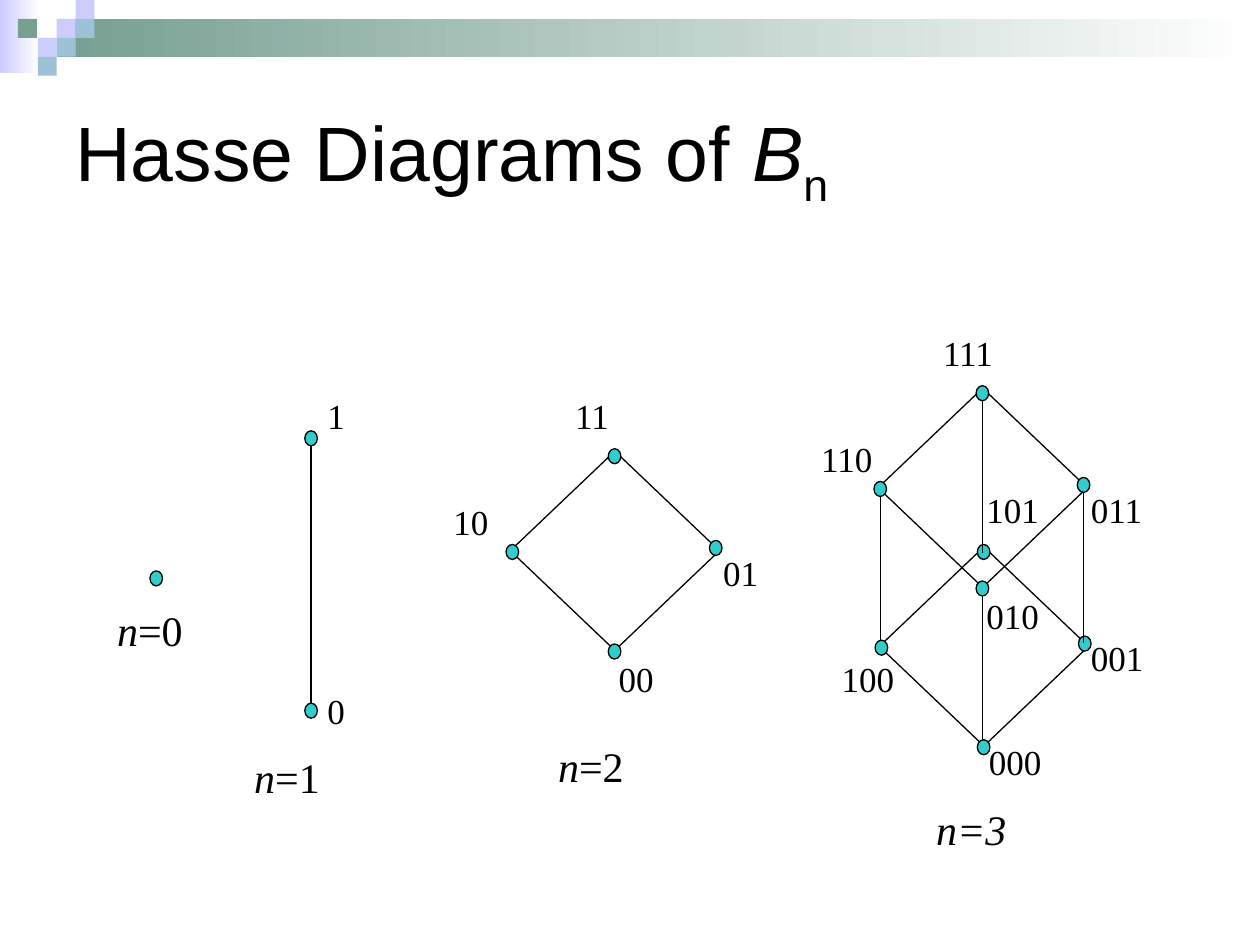
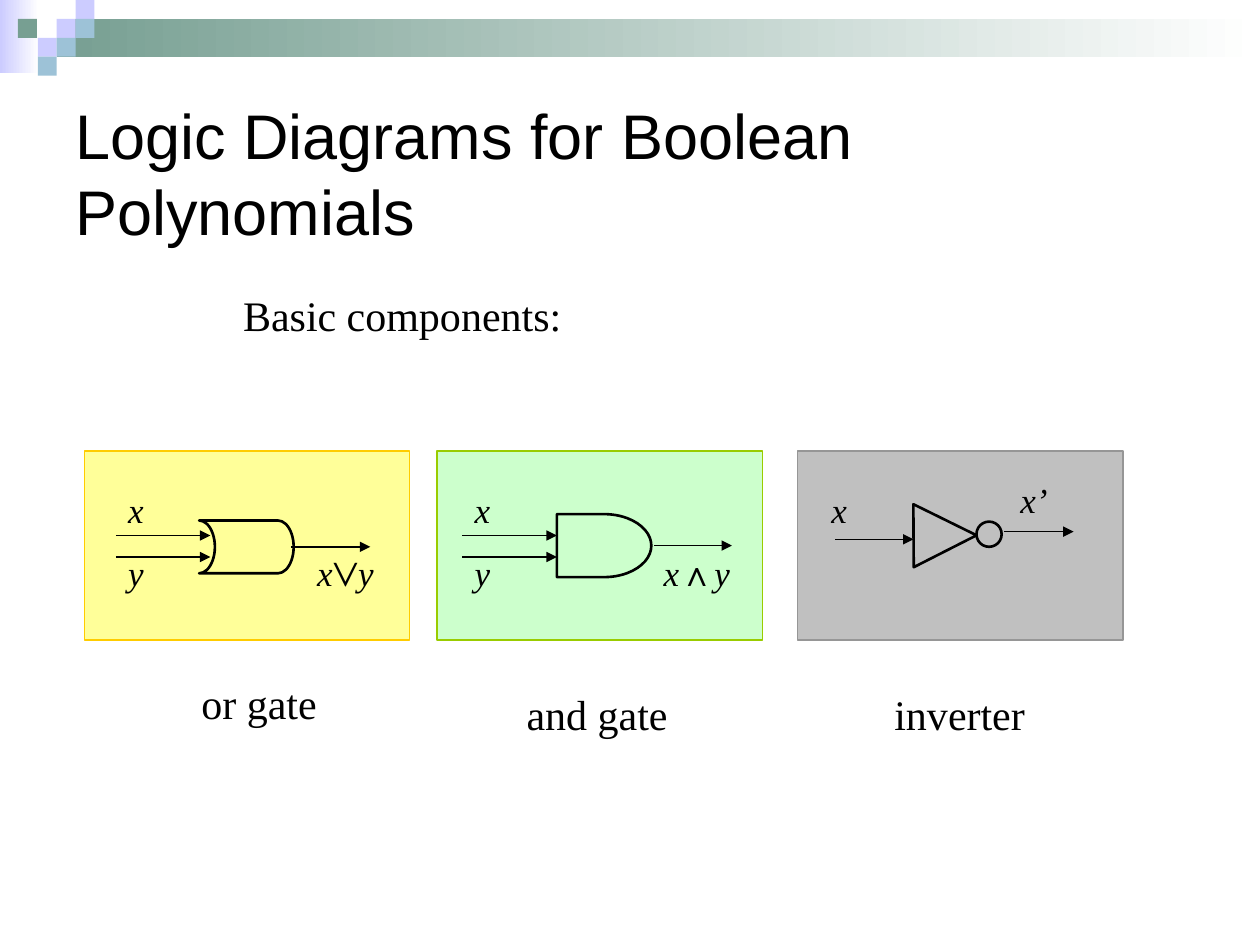
from dataclasses import dataclass

from lxml.etree import SubElement
from pptx import Presentation
from pptx.dml.color import RGBColor
from pptx.enum.shapes import MSO_CONNECTOR as Connector, MSO_SHAPE as Preset
from pptx.enum.text import MSO_ANCHOR as Anchor
from pptx.oxml.ns import qn
from pptx.util import Pt


@dataclass(frozen=True)
class Theme:
    """Colours, fonts, type sizes and line widths shared by the slides."""
    black: str = "000000"
    white: str = "FFFFFF"
    lavender: str = "CCCCFF"
    sage: str = "779F92"
    sky: str = "9DC2D7"
    node: str = "33CCCC"
    yellow: tuple = ("FFFF99", "FFCC00")
    green: tuple = ("CCFFCC", "99CC00")
    grey: tuple = ("C0C0C0", "969696")
    title_font: str = "Arial"
    body_font: str = "Times New Roman"
    title_size: float = 44
    long_title_size: float = 36
    caption_size: float = 24
    label_size: float = 20
    thin: float = 0.74
    thick: float = 1.5


THEME = Theme()
MODULE = 10.8  # side of the small squares in the header
DIAMOND_WIDTH, DIAMOND_HEIGHT = 119.5, 113.8
NODE_WIDTH, NODE_HEIGHT = 7.2, 8.6
# Corners run top, left, right, bottom; offsets are from the diamond's box.
NODE_OFFSETS = ((56, -1.4), (-2.4, 53.3), (113.8, 51), (56, 110.2))
LABEL_BOXES = ((30, -36, 129.6), (-39.6, 24.5, 129.6), (114.5, 54, 50), (54.8, 114.4, 50))
PANEL_WIDTH, PANEL_HEIGHT = 186, 108


def add_shape(slide, preset, left, top, width, height, fill=None, line=None,
              line_width=THEME.thin):
    """Add a preset shape; no fill or line where none is given."""
    shape = slide.shapes.add_shape(preset, Pt(left), Pt(top), Pt(width), Pt(height))
    shape.shadow.inherit = False
    if fill:
        shape.fill.solid()
        shape.fill.fore_color.rgb = RGBColor.from_string(fill)
    else:
        shape.fill.background()
    if line:
        shape.line.color.rgb = RGBColor.from_string(line)
        shape.line.width = Pt(line_width)
    else:
        shape.line.fill.background()
    return shape


def add_line(slide, x1, y1, x2, y2, arrow=False):
    """Add a thin black line, with an arrowhead at its end if asked."""
    line = slide.shapes.add_connector(Connector.STRAIGHT, Pt(x1), Pt(y1), Pt(x2), Pt(y2))
    line.line.color.rgb = RGBColor.from_string(THEME.black)
    line.line.width = Pt(THEME.thin)
    if arrow:
        SubElement(line.line._get_or_add_ln(), qn("a:tailEnd"), type="triangle")
    SubElement(line._element.spPr, qn("a:effectLst"))


def add_text(slide, left, top, width, height, runs, size, font=THEME.body_font):
    """Add a text box made of (text, italic) runs and return it."""
    box = slide.shapes.add_textbox(Pt(left), Pt(top), Pt(width), Pt(height))
    box.text_frame.word_wrap = True
    paragraph = box.text_frame.paragraphs[0]
    paragraph.font.name = font
    paragraph.font.size = Pt(size)
    paragraph.font.color.rgb = RGBColor.from_string(THEME.black)
    for text, italic in runs:
        run = paragraph.add_run()
        run.text = text
        run.font.italic = italic
    return box


def add_label(slide, left, top, width, *runs):
    """Add a label to a node or a signal."""
    add_text(slide, left, top, width, 31.7, runs, THEME.label_size)


def add_caption(slide, left, top, width, *runs):
    """Add a larger line of text, such as the name of a diagram."""
    add_text(slide, left, top, width, 36, runs, THEME.caption_size)


def add_header(slide):
    """Draw the fading bands and the small squares at the top."""
    bands = ((0, 0, 22.3, 41.8, THEME.lavender),
             (3 * MODULE, MODULE, 720 - 3 * MODULE, 2 * MODULE, THEME.sage))
    for left, top, width, height, color in bands:
        band = add_shape(slide, Preset.RECTANGLE, left, top, width, height)
        band.fill.gradient()
        band.fill.gradient_angle = 180
        for stop, stop_color in zip(band.fill.gradient_stops, (THEME.white, color)):
            stop.color.rgb = RGBColor.from_string(stop_color)
    squares = ((3, 1, THEME.lavender), (4, 0, THEME.lavender), (4, 1, THEME.sky),
               (2, 2, THEME.lavender), (0.95, 1, THEME.sage), (3, 2, THEME.sky),
               (2, 3, THEME.sky))
    for column, row, color in squares:
        add_shape(slide, Preset.RECTANGLE, column * MODULE, row * MODULE,
                  MODULE, MODULE, color)


def add_title(slide, top, height, runs, size):
    """Add the title, centred vertically in its box, and return its paragraph."""
    box = add_text(slide, 36, top, 648, height, runs, size, THEME.title_font)
    box.text_frame.vertical_anchor = Anchor.MIDDLE
    return box.text_frame.paragraphs[0]


def add_node(slide, left, top):
    """Draw one element of a Hasse diagram."""
    add_shape(slide, Preset.OVAL, left, top, NODE_WIDTH, NODE_HEIGHT,
              THEME.node, THEME.black)


def add_diamond(slide, left, top, labels=()):
    """Draw four joined nodes, labelled from top to bottom."""
    add_shape(slide, Preset.DIAMOND, left, top, DIAMOND_WIDTH, DIAMOND_HEIGHT,
              line=THEME.black)
    for dx, dy in NODE_OFFSETS:
        add_node(slide, left + dx, top + dy)
    for text, (dx, dy, width) in zip(labels, LABEL_BOXES):
        add_label(slide, left + dx, top + dy, width, (text, False))


def add_point(slide, left, top):
    """Draw the diagram for n=0."""
    add_node(slide, left, top)
    add_caption(slide, left - 25.9, top + 15.8, 66, ("n", True), ("=0", False))


def add_chain(slide, left, top):
    """Draw the diagram for n=1."""
    add_line(slide, left + 3.6, top + 4.4, left + 3.6, top + 161.3)
    for text, node_dy, label_dy in (("1", 0, -24.4), ("0", 155.6, 144)):
        add_node(slide, left, top + node_dy)
        add_label(slide, left + 5.8, top + label_dy, 48, (text, False))
    add_caption(slide, left - 36, top + 180, 144, ("n", True), ("=1", False))


def add_square(slide, left, top):
    """Draw the diagram for n=2."""
    add_diamond(slide, left, top, ("11", "10", "01", "00"))
    add_caption(slide, left + 20.2, top + 162, 84, ("n", True), ("=2", False))


def add_cube(slide, left, top):
    """Draw the diagram for n=3: two diamonds joined by upright edges."""
    add_line(slide, left + 59.8, top + 114.4, left + 59.8, top + 206.6)
    add_diamond(slide, left + 0.7, top + 90.7)
    for dx, start, end in ((117.4, 55.4, 145.4), (1.4, 59, 144.7), (59.8, 2.8, 94.3)):
        add_line(slide, left + dx, top + start, left + dx, top + end)
    add_diamond(slide, left, top, ("111", "110", "011", "010"))
    lower_labels = (("101", 54.8, 54, 60), ("100", -28, 150.4, 48),
                    ("001", 114.5, 138.2, 50), ("000", 56.2, 198, 54))
    for text, dx, dy, width in lower_labels:
        add_label(slide, left + dx, top + dy, width, (text, False))
    add_caption(slide, left + 26, top + 234, 120, ("n=3", True))


def add_panel(slide, left, top, colors):
    """Draw the coloured panel behind a gate."""
    add_shape(slide, Preset.RECTANGLE, left, top, PANEL_WIDTH, PANEL_HEIGHT, *colors)


def add_symbol(slide, preset, left, top, width, height):
    """Draw a heavy, unfilled gate outline and return it."""
    return add_shape(slide, preset, left, top, width, height,
                     line=THEME.black, line_width=THEME.thick)


def add_inputs(slide, left, top):
    """Draw the two labelled input arrows x and y."""
    for text, arrow_dy, label_dy in (("x", 48.2, 18), ("y", 60.5, 54)):
        add_line(slide, left, top + arrow_dy, left + 54, top + arrow_dy, arrow=True)
        add_label(slide, left, top + label_dy, 54, (text, True))


def add_or_gate(slide, left, top):
    """Draw the or gate in its panel."""
    add_panel(slide, left, top, THEME.yellow)
    symbol = add_symbol(slide, Preset.FLOWCHART_STORED_DATA, left + 65.6, top + 39.6, 54, 30.2)
    symbol._element.spPr.find(qn("a:xfrm")).set("flipH", "1")
    add_inputs(slide, left + 18, top)
    add_line(slide, left + 118, top + 54.7, left + 163.4, top + 54.7, arrow=True)
    add_label(slide, left + 126, top + 54, 60, ("x", True), ("⋁", False), ("y", True))
    add_caption(slide, left + 59.8, top + 126, 102, ("or gate", False))


def add_and_gate(slide, left, top):
    """Draw the and gate in its panel."""
    add_panel(slide, left, top, THEME.green)
    add_inputs(slide, left + 14.4, top)
    add_line(slide, left + 124, top + 54, left + 168.5, top + 54, arrow=True)
    add_label(slide, left + 122.4, top + 54, 60, ("x", True), ("∧", False), ("y", True))
    add_symbol(slide, Preset.FLOWCHART_DELAY, left + 68.4, top + 36, 54, 36)
    add_caption(slide, left + 44, top + 132.4, 102, ("and gate", False))


def add_inverter(slide, left, top):
    """Draw the inverter in its panel."""
    add_panel(slide, left, top, THEME.grey)
    triangle = add_symbol(slide, Preset.FLOWCHART_EXTRACT, left + 66.2, top + 30.2, 36, 36)
    triangle.rotation = 89.6
    add_symbol(slide, Preset.OVAL, left + 102.2, top + 40.3, 14.4, 14.4)
    add_line(slide, left + 21.6, top + 50.4, left + 66.2, top + 50.4, arrow=True)
    add_line(slide, left + 118, top + 46, left + 157.7, top + 46, arrow=True)
    add_label(slide, left + 12.2, top + 18, 60, ("x", True))
    add_label(slide, left + 120.2, top + 12.2, 60, ("x’", True))
    add_caption(slide, left + 48.2, top + 132.4, 102, ("inverter", False))


def build_hasse_slide(slide):
    """Build the slide of Hasse diagrams."""
    add_header(slide)
    title = add_title(slide, 36, 108, (("Hasse Diagrams of ", False), ("B", True),
                                       ("n", False)), THEME.title_size)
    title.runs[-1]._r.get_or_add_rPr().set("baseline", "-25000")
    add_point(slide, 85.7, 326.2)
    add_chain(slide, 174.2, 246.2)
    add_square(slide, 291.6, 257.8)
    add_cube(slide, 501.8, 221.8)


def build_logic_slide(slide):
    """Build the slide of logic gates."""
    add_header(slide)
    add_title(slide, 53.3, 90.7, (("Logic Diagrams for Boolean Polynomials", False),),
              THEME.long_title_size)
    add_caption(slide, 131.8, 162, 437.8, ("Basic components:", False))
    gates = ((add_or_gate, 48.2), (add_and_gate, 249.8), (add_inverter, 455.8))
    for add_gate, left in gates:
        add_gate(slide, left, 257.8)


presentation = Presentation()
presentation.slide_width, presentation.slide_height = Pt(720), Pt(540)
blank_layout = presentation.slide_layouts[6]
for build_slide in (build_hasse_slide, build_logic_slide):
    build_slide(presentation.slides.add_slide(blank_layout))
presentation.save("out.pptx")
